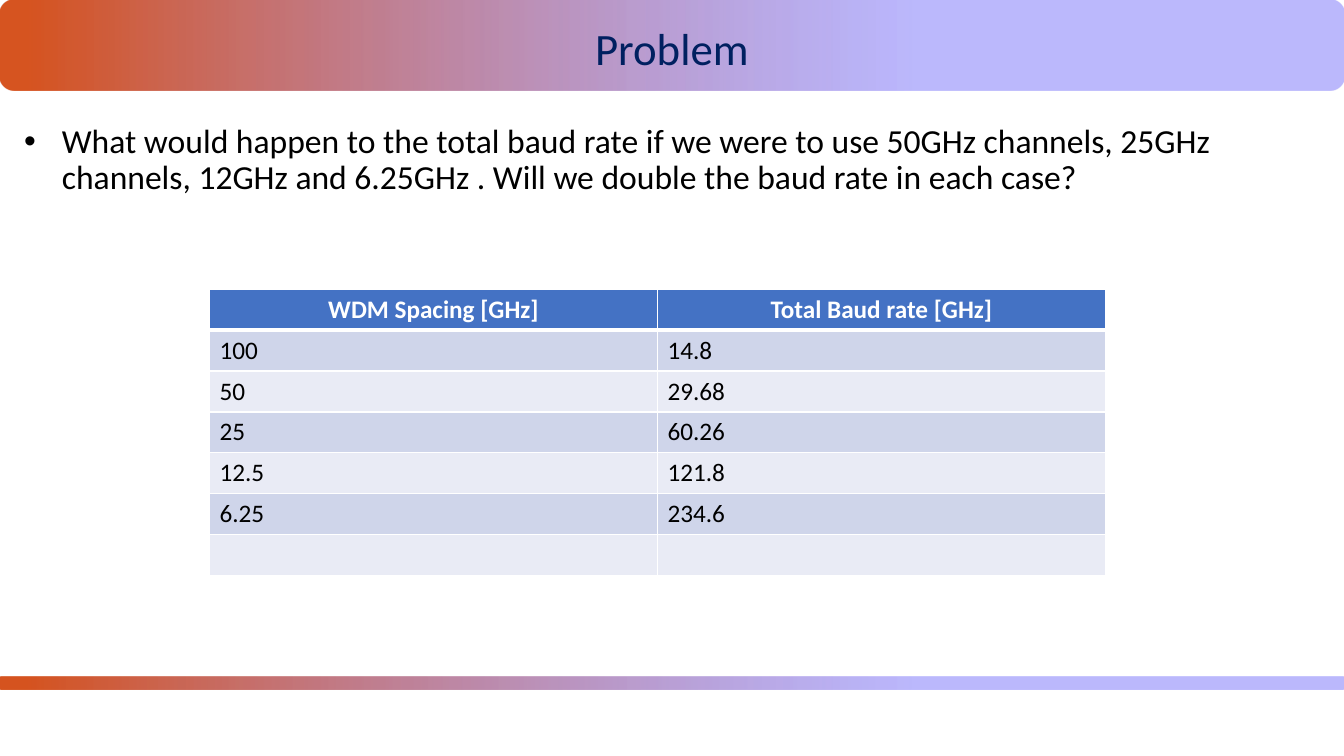
"""Build the WDM baud rate problem slide."""
from dataclasses import dataclass

from lxml.etree import SubElement
from pptx import Presentation
from pptx.dml.color import RGBColor
from pptx.enum.shapes import MSO_SHAPE
from pptx.enum.text import MSO_ANCHOR, PP_ALIGN
from pptx.oxml.ns import qn
from pptx.slide import Slide
from pptx.table import _Cell
from pptx.text.text import _Paragraph
from pptx.util import Cm, Pt


@dataclass(frozen=True)
class Theme:
    """Colours, font and type sizes."""
    font: str = "Calibri"
    title_size: int = 32
    body_size: int = 24
    table_size: int = 18
    title: str = "002060"
    text: str = "000000"
    white: str = "FFFFFF"
    header: str = "4472C4"
    bands: tuple[str, str] = ("CFD5EA", "E9EBF5")
    gradient_start: str = "D65420"
    gradient_end: str = "7B75FB"


@dataclass(frozen=True)
class Area:
    """A rectangle in centimetres."""
    left: float
    top: float
    width: float
    height: float

    def lengths(self) -> tuple[Cm, Cm, Cm, Cm]:
        """Return the rectangle as slide lengths."""
        return Cm(self.left), Cm(self.top), Cm(self.width), Cm(self.height)


@dataclass(frozen=True)
class TextStyle:
    """The look of one run and its paragraph."""
    size: int
    colour: str
    bold: bool = False
    align: PP_ALIGN = PP_ALIGN.LEFT


THEME = Theme()
SLIDE_WIDTH, SLIDE_HEIGHT = 33.87, 19.05
BANNERS = (Area(0, 0, SLIDE_WIDTH, 2.29), Area(0, 17.04, SLIDE_WIDTH, 0.33))
TITLE_AREA = Area(0, 0.51, SLIDE_WIDTH, 1.17)
QUESTION_AREA = Area(0.36, 2.97, 32.41, 12.57)
TABLE_AREA = Area(5.28, 7.29, 22.58, 7.21)
TITLE_STYLE = TextStyle(THEME.title_size, THEME.title, align=PP_ALIGN.CENTER)
QUESTION_STYLE = TextStyle(THEME.body_size, THEME.text)
HEADER_STYLE = TextStyle(THEME.table_size, THEME.white, True, PP_ALIGN.CENTER)
CELL_STYLE = TextStyle(THEME.table_size, THEME.text)
QUESTION = (
    "What would happen to the total baud rate if we were to use 50GHz channels, "
    "25GHz channels, 12GHz and 6.25GHz . Will we double the baud rate in each case?"
)
BAUD_RATES = (
    ("WDM Spacing [GHz]", "Total Baud rate [GHz]"),
    ("100", "14.8"),
    ("50", "29.68"),
    ("25", "60.26"),
    ("12.5", "121.8"),
    ("6.25", "234.6"),
    ("", ""),
)


def add_span(para: _Paragraph, text: str, style: TextStyle) -> None:
    """Add a styled run to a paragraph."""
    para.alignment = style.align
    span = para.add_run()
    span.text = text
    span.font.name = THEME.font
    span.font.size = Pt(style.size)
    span.font.bold = style.bold
    span.font.color.rgb = RGBColor.from_string(style.colour)


def add_banner(page: Slide, area: Area) -> None:
    """Draw a rounded bar fading from orange to translucent violet."""
    banner = page.shapes.add_shape(MSO_SHAPE.ROUNDED_RECTANGLE, *area.lengths())
    banner.shadow.inherit = False
    banner.line.fill.background()
    banner.fill.gradient()
    banner.fill.gradient_angle = 0
    start, end = banner.fill.gradient_stops
    start.position, end.position = 0.02, 0.68
    start.color.rgb = RGBColor.from_string(THEME.gradient_start)
    end.color.rgb = RGBColor.from_string(THEME.gradient_end)
    for colour in list(banner.element.spPr.iter(qn("a:srgbClr")))[-1:]:
        SubElement(colour, qn("a:alpha"), val="51000")


def add_text(page: Slide, area: Area, text: str, style: TextStyle,
             bullet_indent: float = 0) -> None:
    """Add a wrapped text box, bulleted when an indent is given."""
    box = page.shapes.add_textbox(*area.lengths())
    frame = box.text_frame
    frame.word_wrap = True
    frame.vertical_anchor = MSO_ANCHOR.TOP
    frame.margin_top = Cm(0.17)
    frame.margin_bottom = 0
    para = frame.paragraphs[0]
    para.line_spacing = 0.9
    if bullet_indent:
        properties = para._p.get_or_add_pPr()
        properties.set("marL", str(Cm(bullet_indent)))
        properties.set("indent", str(-Cm(bullet_indent)))
        SubElement(properties, qn("a:buFont"), typeface="Arial")
        SubElement(properties, qn("a:buChar"), char="•")
    add_span(para, text, style)


def set_borders(cell: _Cell, top: float, bottom: float) -> None:
    """Give a cell white borders with the given top and bottom widths."""
    properties = cell._tc.get_or_add_tcPr()
    for side, width in (("L", 1), ("R", 1), ("T", top), ("B", bottom)):
        line = SubElement(properties, qn(f"a:ln{side}"), w=str(Pt(width)))
        fill = SubElement(line, qn("a:solidFill"))
        SubElement(fill, qn("a:srgbClr"), val=THEME.white)


def add_baud_table(page: Slide) -> None:
    """Add the banded table of channel spacings and baud rates."""
    table = page.shapes.add_table(
        len(BAUD_RATES), len(BAUD_RATES[0]), *TABLE_AREA.lengths()).table
    for row, values in enumerate(BAUD_RATES):
        is_header = row == 0
        style = HEADER_STYLE if is_header else CELL_STYLE
        colour = THEME.header if is_header else THEME.bands[(row - 1) % 2]
        for column, value in enumerate(values):
            cell = table.cell(row, column)
            set_borders(cell, 3 if row == 1 else 1, 3 if is_header else 1)
            cell.fill.solid()
            cell.fill.fore_color.rgb = RGBColor.from_string(colour)
            if value:
                add_span(cell.text_frame.paragraphs[0], value, style)


def main() -> None:
    """Build and save the deck."""
    deck = Presentation()
    deck.slide_width, deck.slide_height = Cm(SLIDE_WIDTH), Cm(SLIDE_HEIGHT)
    page = deck.slides.add_slide(deck.slide_layouts[6])
    for area in BANNERS:
        add_banner(page, area)
    add_text(page, TITLE_AREA, "Problem", TITLE_STYLE)
    add_text(page, QUESTION_AREA, QUESTION, QUESTION_STYLE, bullet_indent=0.95)
    add_baud_table(page)
    deck.save("out.pptx")


if __name__ == "__main__":
    main()
